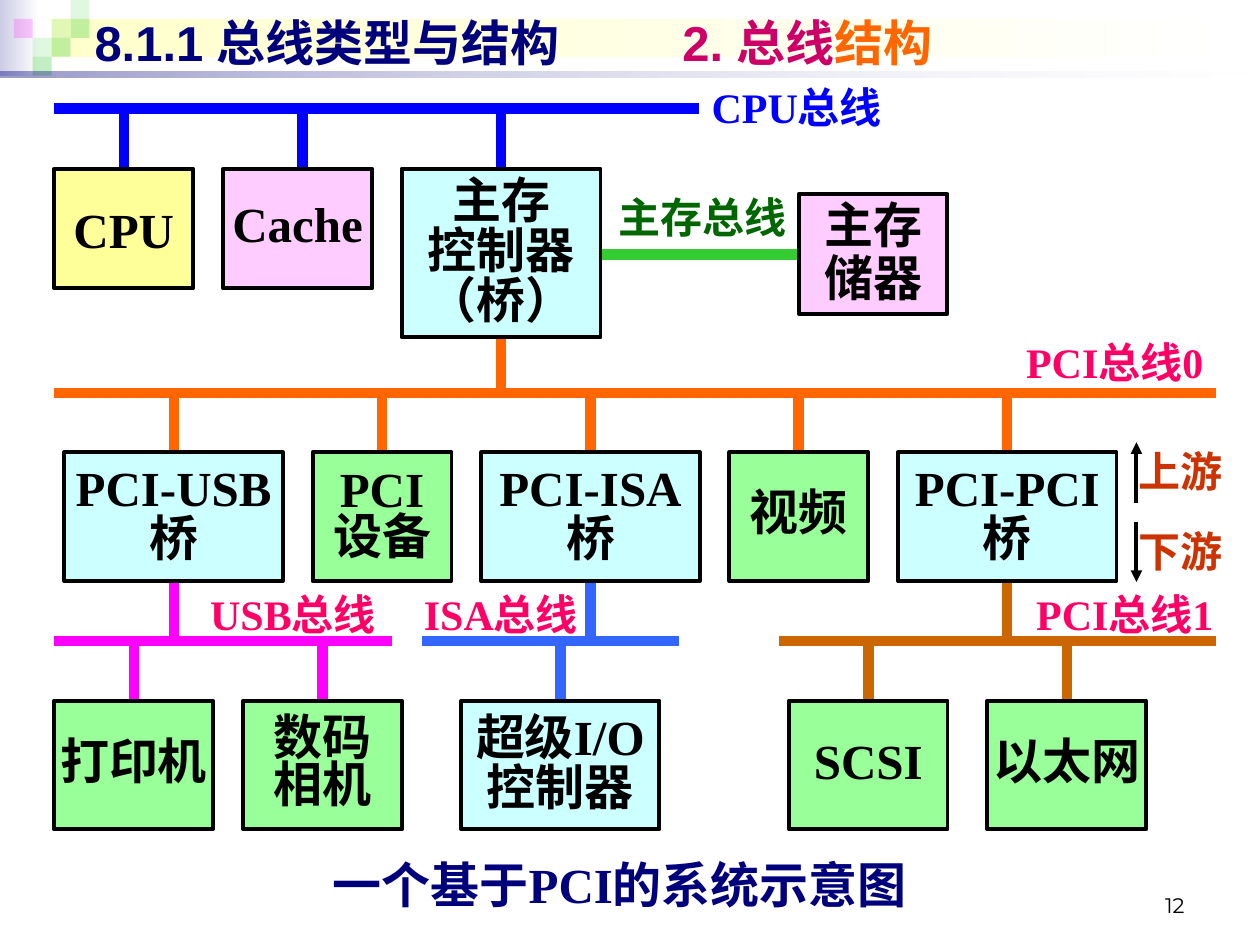
"""Build a slide showing the bus structure of a PCI-based system."""
from dataclasses import dataclass

from lxml.etree import SubElement
from pptx import Presentation
from pptx.dml.color import RGBColor
from pptx.enum.shapes import MSO_CONNECTOR, MSO_SHAPE
from pptx.enum.text import MSO_ANCHOR, MSO_AUTO_SIZE, PP_ALIGN
from pptx.oxml.ns import qn
from pptx.shapes.autoshape import Shape
from pptx.shapes.connector import Connector
from pptx.slide import Slide
from pptx.text.text import _Paragraph as Paragraph
from pptx.util import Pt

BLACK, WHITE = RGBColor(0, 0, 0), RGBColor(255, 255, 255)
NAVY, BLUE = RGBColor(0x00, 0x00, 0x7D), RGBColor(0x00, 0x00, 0xFF)
LILAC, CREAM = RGBColor(0xCC, 0xCC, 0xE6), RGBColor(0xFF, 0xFF, 0xCC)
GREEN, DARK_GREEN = RGBColor(0x33, 0xCC, 0x33), RGBColor(0x00, 0x66, 0x00)
ORANGE, BROWN = RGBColor(0xFF, 0x66, 0x00), RGBColor(0xCC, 0x66, 0x00)
MAGENTA, SKY = RGBColor(0xFF, 0x00, 0xFF), RGBColor(0x33, 0x66, 0xFF)
CRIMSON, ROSE = RGBColor(0xCC, 0x00, 0x66), RGBColor(0xFF, 0x00, 0x66)
RUST = RGBColor(0xCC, 0x33, 0x00)
YELLOW, PINK = RGBColor(0xFF, 0xFF, 0x99), RGBColor(0xFF, 0xCC, 0xFF)
CYAN, LIME = RGBColor(0xCC, 0xFF, 0xFF), RGBColor(0x99, 0xFF, 0x99)

SERIF = "Times New Roman"
LEFT, CENTER, RIGHT = PP_ALIGN.LEFT, PP_ALIGN.CENTER, PP_ALIGN.RIGHT
STUB = 34
TILE = 10.8
CPU_ROW, BRIDGE_ROW, DEVICE_ROW = 96.4, 258.5, 400.4
CPU_HEIGHT, UNIT_HEIGHT = 68.4, 73.6


@dataclass(frozen=True)
class Bus:
    color: RGBColor
    y: float
    left: float
    right: float
    upward: tuple[float, ...] = ()
    downward: tuple[float, ...] = ()


@dataclass(frozen=True)
class Unit:
    lines: tuple[str, ...]
    left: float
    top: float
    width: float
    height: float
    fill: RGBColor
    spacing: float = 0.8


@dataclass(frozen=True)
class Label:
    text: str
    left: float
    top: float
    width: float
    color: RGBColor
    align: PP_ALIGN = RIGHT
    size: float = 24
    height: float = 36


BUSES = (
    Bus(BLUE, 62, 31, 399.6, downward=(70.9, 172.9, 286.4)),
    Bus(GREEN, 145.4, 343.4, 456.4),
    Bus(ORANGE, 224.5, 31, 694.6, (286.4,), (99.3, 218.2, 337.4, 456.4, 575.4)),
    Bus(MAGENTA, 366.4, 31, 224, (99.3,), (76.5, 184.3)),
    Bus(SKY, 366.4, 241, 388.2, (337.4,), (320.2,)),
    Bus(BROWN, 366.4, 445.2, 694.6, (575.4,), (496.2, 609.6)),
)
UNITS = (
    Unit(("CPU",), 31, CPU_ROW, 79.4, CPU_HEIGHT, YELLOW, 1),
    Unit(("Cache",), 127.6, CPU_ROW, 85, CPU_HEIGHT, PINK),
    Unit(("主存", "控制器", "（桥）"), 229.6, CPU_ROW, 113.6, 96.4, CYAN, 0.85),
    Unit(("主存", "储器"), 456.4, 110.8, 85, CPU_HEIGHT, PINK, 0.9),
    Unit(("PCI-USB", "桥"), 36.8, BRIDGE_ROW, 124.8, UNIT_HEIGHT, CYAN, 0.85),
    Unit(("PCI", "设备"), 178.6, BRIDGE_ROW, 79.4, UNIT_HEIGHT, LIME),
    Unit(("PCI-ISA", "桥"), 275, BRIDGE_ROW, 124.8, UNIT_HEIGHT, CYAN, 0.85),
    Unit(("视频",), 416.8, BRIDGE_ROW, 79.4, UNIT_HEIGHT, LIME),
    Unit(("PCI-PCI", "桥"), 513.2, BRIDGE_ROW, 124.8, UNIT_HEIGHT, CYAN, 0.85),
    Unit(("打印机",), 31, DEVICE_ROW, 90.7, UNIT_HEIGHT, LIME),
    Unit(("数码", "相机"), 139, DEVICE_ROW, 90.7, UNIT_HEIGHT, LIME),
    Unit(("超级I/O", "控制器"), 263.6, DEVICE_ROW, 113.2, UNIT_HEIGHT, CYAN, 0.85),
    Unit(("SCSI",), 450.8, DEVICE_ROW, 90.7, UNIT_HEIGHT, LIME),
    Unit(("以太网",), 564.2, DEVICE_ROW, 90.7, UNIT_HEIGHT, LIME),
)
LABELS = (
    Label("CPU总线", 399.6, 43.2, 124.6, BLUE, LEFT),
    Label("主存总线", 331.9, 105.8, 124.6, DARK_GREEN),
    Label("PCI总线0", 558.7, 188.6, 136, ROSE),
    Label("USB总线", 99.4, 332.6, 136, ROSE, CENTER),
    Label("ISA总线", 218.2, 332.6, 136, ROSE, CENTER),
    Label("PCI总线1", 564.5, 332.6, 136, ROSE),
    Label("上游", 632.2, 251.3, 73.4, RUST),
    Label("下游", 632.2, 296.6, 73.4, RUST),
    Label("一个基于PCI的系统示意图", 82, 484.6, 544.3, NAVY, CENTER, 28, 41),
)
TILES = (
    (3, 1, GREEN, 15), (4, 0, GREEN, 15), (4, 1, GREEN, 30), (2, 2, GREEN, 15),
    (1, 1, MAGENTA, 20), (3, 2, GREEN, 30), (2, 3, GREEN, 30),
)


def write(paragraph: Paragraph, text: str, size: float, color: RGBColor,
          font: str = SERIF, bold: bool = True) -> None:
    run = paragraph.add_run()
    run.text = text
    run.font.name, run.font.size, run.font.bold = font, Pt(size), bold
    run.font.color.rgb = color


def add_rect(slide: Slide, left: float, top: float, width: float, height: float) -> Shape:
    rect = slide.shapes.add_shape(
        MSO_SHAPE.RECTANGLE, Pt(left), Pt(top), Pt(width), Pt(height))
    rect.shadow.inherit = False
    rect.line.fill.background()
    return rect


def set_opacity(rect: Shape, *percents: int) -> None:
    for color, percent in zip(rect.element.xpath("./p:spPr//a:srgbClr"), percents):
        SubElement(color, qn("a:alpha")).set("val", str(percent * 1000))


def add_fade(slide: Slide, left: float, top: float, width: float, height: float,
             color: RGBColor) -> Shape:
    band = add_rect(slide, left, top, width, height)
    band.fill.gradient()
    band.fill.gradient_angle = 180
    for stop, shade, position in zip(band.fill.gradient_stops, (WHITE, color), (0, 1)):
        stop.color.rgb = shade
        stop.position = position
    return band


def add_line(slide: Slide, start: tuple[float, float], end: tuple[float, float],
             color: RGBColor, width: float = 6) -> Connector:
    line = slide.shapes.add_connector(
        MSO_CONNECTOR.STRAIGHT, *(Pt(value) for value in (*start, *end)))
    line.line.color.rgb, line.line.width = color, Pt(width)
    SubElement(line.element.spPr, qn("a:effectLst"))
    return line


def add_arrow(slide: Slide, x: float, start: float, end: float) -> None:
    arrow = add_line(slide, (x, start), (x, end), BLACK, 2.25)
    SubElement(arrow.line._get_or_add_ln(), qn("a:tailEnd")).set("type", "triangle")


def add_bus(slide: Slide, bus: Bus) -> None:
    add_line(slide, (bus.left, bus.y), (bus.right, bus.y), bus.color)
    for stubs, reach in ((bus.upward, -STUB), (bus.downward, STUB)):
        for x in stubs:
            add_line(slide, (x, bus.y + reach), (x, bus.y), bus.color)


def add_unit(slide: Slide, unit: Unit) -> None:
    box = add_rect(slide, unit.left, unit.top, unit.width, unit.height)
    box.fill.solid()
    box.fill.fore_color.rgb = unit.fill
    box.line.color.rgb, box.line.width = BLACK, Pt(2.25)
    frame = box.text_frame
    frame.word_wrap, frame.vertical_anchor = False, MSO_ANCHOR.MIDDLE
    for index, line in enumerate(unit.lines):
        paragraph = frame.add_paragraph() if index else frame.paragraphs[0]
        paragraph.alignment, paragraph.line_spacing = CENTER, unit.spacing
        write(paragraph, line, 28, BLACK)


def add_label(slide: Slide, label: Label) -> None:
    frame = slide.shapes.add_textbox(
        Pt(label.left), Pt(label.top), Pt(label.width), Pt(label.height)).text_frame
    frame.word_wrap, frame.auto_size = True, MSO_AUTO_SIZE.SHAPE_TO_FIT_TEXT
    frame.paragraphs[0].alignment = label.align
    write(frame.paragraphs[0], label.text, label.size, label.color)


def add_header(slide: Slide) -> None:
    add_fade(slide, 0, 0, 22.5, 43.2, LILAC)
    add_fade(slide, 29.5, TILE, 687.6, 21.6, CREAM)
    for column, row, color, opacity in TILES:
        tile = add_rect(slide, 7.9 + (column - 1) * TILE, row * TILE, TILE, TILE)
        tile.fill.solid()
        tile.fill.fore_color.rgb = color
        set_opacity(tile, opacity)
    set_opacity(add_fade(slide, 0, 41, 720, 3.6, NAVY), 10, 40)

    title = slide.shapes.title
    title.left, title.top, title.width, title.height = Pt(46.8), Pt(3.6), Pt(665.3), Pt(41)
    title.element.getparent().append(title.element)
    frame = title.text_frame
    frame.auto_size, frame.vertical_anchor = MSO_AUTO_SIZE.NONE, MSO_ANCHOR.MIDDLE
    heading = frame.paragraphs[0]
    heading.alignment = LEFT
    tabs = SubElement(heading._p.get_or_add_pPr(), qn("a:tabLst"))
    SubElement(tabs, qn("a:tab"), pos=str(Pt(336)), algn="l")
    for text, color in (("8.1.1 总线类型与结构\t", NAVY), ("2. 总线", CRIMSON), ("结构", ORANGE)):
        write(heading, text, 28, color, "Arial")


def add_page_number(slide: Slide) -> None:
    frame = slide.shapes.add_textbox(Pt(516.2), Pt(491.8), Pt(167.8), Pt(36)).text_frame
    frame.word_wrap, frame.vertical_anchor = True, MSO_ANCHOR.BOTTOM
    frame.paragraphs[0].alignment = RIGHT
    write(frame.paragraphs[0], "12", 12, BLACK, "Montserrat", False)


def main() -> None:
    deck = Presentation()
    deck.slide_width, deck.slide_height = Pt(720), Pt(540)
    slide = deck.slides.add_slide(deck.slide_layouts[5])
    add_header(slide)
    add_page_number(slide)
    for bus in BUSES:
        add_bus(slide, bus)
    for unit in UNITS:
        add_unit(slide, unit)
    for label in LABELS:
        add_label(slide, label)
    add_arrow(slide, 649.4, 287.3, 252.7)
    add_arrow(slide, 649.4, 298.1, 332.6)
    deck.save("out.pptx")


if __name__ == "__main__":
    main()
